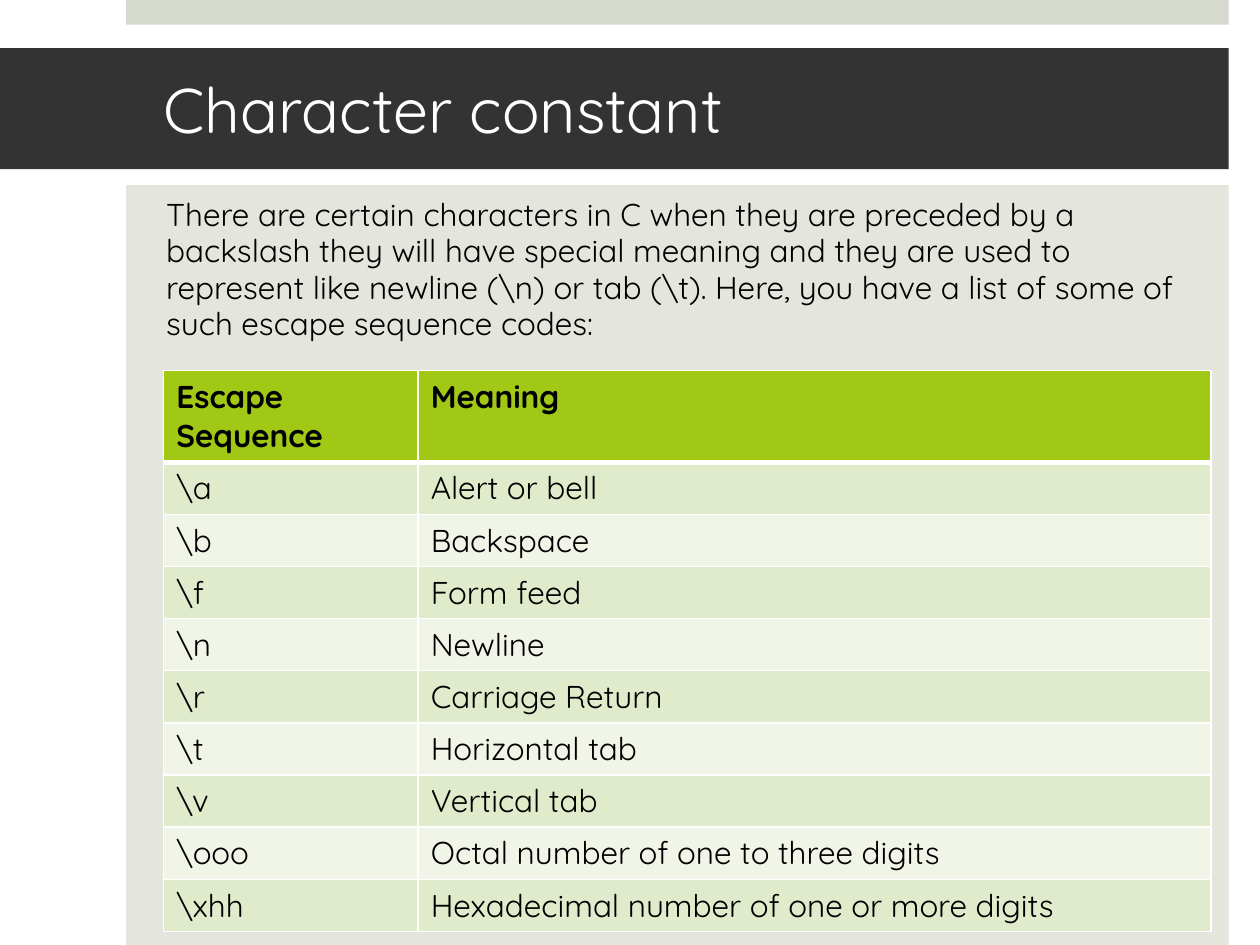
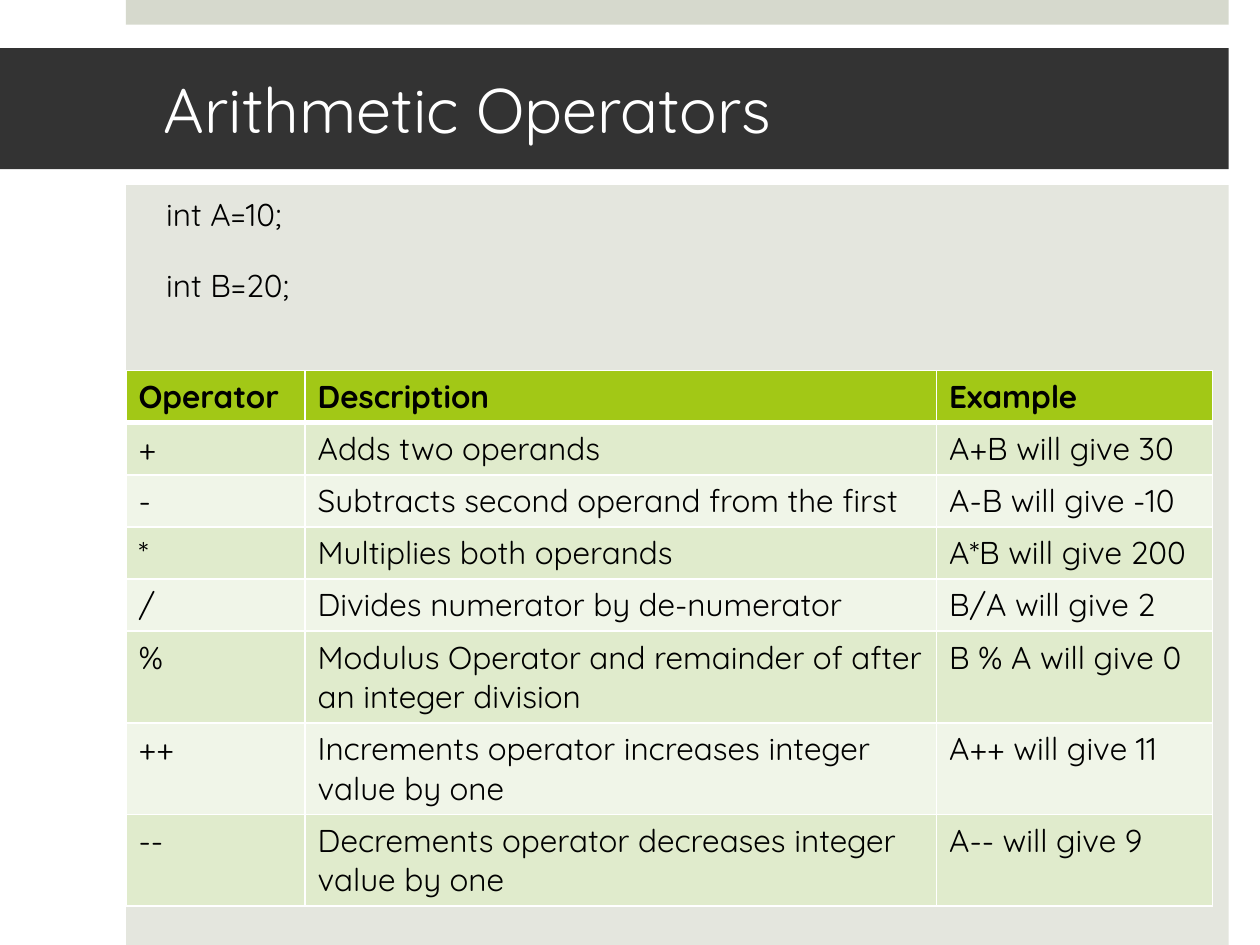
"""Build two slides on C escape sequences and arithmetic operators."""

from dataclasses import dataclass

from lxml.etree import SubElement
from pptx import Presentation
from pptx.dml.color import RGBColor
from pptx.enum.shapes import MSO_SHAPE
from pptx.enum.text import MSO_ANCHOR, MSO_AUTO_SIZE, PP_ALIGN
from pptx.oxml.ns import qn
from pptx.presentation import Presentation as Deck
from pptx.shapes.base import BaseShape
from pptx.slide import Slide
from pptx.table import _Cell as Cell
from pptx.text.text import _Paragraph as Paragraph
from pptx.util import Cm, Pt


@dataclass(frozen=True)
class Theme:
    font: str = "Quicksand"
    title_size: int = 36
    text_size: int = 18
    paragraph_gap: int = 20
    line_spacing: float = 0.96
    thin_border: int = 1
    thick_border: int = 3
    white: str = "FFFFFF"
    black: str = "000000"
    title_band: str = "333333"
    top_band: str = "D6D9CD"
    panel: str = "E4E6DE"
    header: str = "A2C816"
    dark_row: str = "E0EBCC"
    light_row: str = "F0F5E8"


@dataclass(frozen=True)
class Box:
    left: float
    top: float
    width: float
    height: float


@dataclass(frozen=True)
class Margins:
    left: float
    top: float
    right: float
    bottom: float


@dataclass(frozen=True)
class TableContent:
    left: float
    column_widths: tuple[float, ...]
    rows: tuple[tuple[str, ...], ...]
    tall_rows: frozenset[int]


@dataclass(frozen=True)
class SlideContent:
    title: str
    paragraphs: tuple[str, ...]
    table: TableContent


THEME = Theme()
TOP_BAND = Box(2.54, 0, 22.23, 0.5)
TITLE_BAND = Box(0, 0.97, 24.77, 2.44)
PANEL = Box(2.54, 3.73, 22.23, 15.32)
TITLE_MARGINS = Margins(3.3, 0.13, 0.76, 0.13)
PANEL_MARGINS = Margins(0.81, 0.25, 0.76, 0.25)
TABLE_TOP = 7.47
ROW_HEIGHT = 1.05
TALL_ROW_HEIGHT = 1.78

SLIDES = (
    SlideContent(
        "Character constant",
        (
            "There are certain characters in C when they are preceded by a backslash "
            "they will have special meaning and they are used to represent like newline "
            "(\\n) or tab (\\t). Here, you have a list of some of such escape sequence codes:",
        ),
        TableContent(
            3.3,
            (5.13, 15.98),
            (
                ("Escape Sequence", "Meaning"),
                ("\\a", "Alert or bell"),
                ("\\b", "Backspace"),
                ("\\f", "Form feed"),
                ("\\n", "Newline"),
                ("\\r", "Carriage Return"),
                ("\\t", "Horizontal tab"),
                ("\\v", "Vertical tab"),
                ("\\ooo", "Octal number of one to three digits"),
                ("\\xhh", "Hexadecimal number of one or more digits"),
            ),
            frozenset({0}),
        ),
    ),
    SlideContent(
        "Arithmetic Operators",
        ("int A=10;", "int B=20;"),
        TableContent(
            2.54,
            (3.61, 12.73, 5.56),
            (
                ("Operator", "Description", "Example"),
                ("+", "Adds two operands", "A+B will give 30"),
                ("-", "Subtracts second operand from the first", "A-B will give -10"),
                ("*", "Multiplies both operands", "A*B will give 200"),
                ("/", "Divides numerator by de-numerator", "B/A will give 2"),
                ("%", "Modulus Operator and remainder of after an integer division", "B % A will give 0"),
                ("++", "Increments operator increases integer value by one", "A++ will give 11"),
                ("--", "Decrements operator decreases integer value by one", "A-- will give 9"),
            ),
            frozenset({5, 6, 7}),
        ),
    ),
)


def add_text(paragraph: Paragraph, text: str, size: int, color: str, bold: bool = False) -> None:
    run = paragraph.add_run()
    run.text = text
    run.font.name = THEME.font
    run.font.size = Pt(size)
    run.font.bold = bold
    run.font.color.rgb = RGBColor.from_string(color)


def place_panel(shape: BaseShape, box: Box, margins: Margins, color: str, anchor: MSO_ANCHOR) -> None:
    shape.left, shape.top = Cm(box.left), Cm(box.top)
    shape.width, shape.height = Cm(box.width), Cm(box.height)
    shape.fill.solid()
    shape.fill.fore_color.rgb = RGBColor.from_string(color)
    frame = shape.text_frame
    frame.word_wrap = True
    frame.auto_size = MSO_AUTO_SIZE.NONE
    frame.vertical_anchor = anchor
    frame.margin_left, frame.margin_top = Cm(margins.left), Cm(margins.top)
    frame.margin_right, frame.margin_bottom = Cm(margins.right), Cm(margins.bottom)


def add_top_band(slide: Slide) -> None:
    band = slide.shapes.add_shape(
        MSO_SHAPE.RECTANGLE, Cm(TOP_BAND.left), Cm(TOP_BAND.top), Cm(TOP_BAND.width), Cm(TOP_BAND.height)
    )
    band.shadow.inherit = False
    band.fill.solid()
    band.fill.fore_color.rgb = RGBColor.from_string(THEME.top_band)
    band.line.fill.background()


def fill_title(slide: Slide, title: str) -> None:
    shape = slide.shapes.title
    place_panel(shape, TITLE_BAND, TITLE_MARGINS, THEME.title_band, MSO_ANCHOR.MIDDLE)
    paragraph = shape.text_frame.paragraphs[0]
    paragraph.alignment = PP_ALIGN.LEFT
    add_text(paragraph, title, THEME.title_size, THEME.white)


def fill_body(slide: Slide, texts: tuple[str, ...]) -> None:
    shape = slide.placeholders[1]
    place_panel(shape, PANEL, PANEL_MARGINS, THEME.panel, MSO_ANCHOR.TOP)
    frame = shape.text_frame
    for index, text in enumerate(texts):
        paragraph = frame.add_paragraph() if index else frame.paragraphs[0]
        paragraph.alignment = PP_ALIGN.LEFT
        paragraph.line_spacing = THEME.line_spacing
        paragraph.space_before = Pt(THEME.paragraph_gap if index else 0)
        add_text(paragraph, text, THEME.text_size, THEME.black)


def set_borders(cell: Cell, row_index: int) -> None:
    properties = cell._tc.get_or_add_tcPr()
    top = THEME.thick_border if row_index == 1 else THEME.thin_border
    bottom = THEME.thick_border if row_index == 0 else THEME.thin_border
    widths = {"a:lnL": THEME.thin_border, "a:lnR": THEME.thin_border, "a:lnT": top, "a:lnB": bottom}
    for tag, width in widths.items():
        line = SubElement(properties, qn(tag), w=str(Pt(width)))
        fill = SubElement(line, qn("a:solidFill"))
        SubElement(fill, qn("a:srgbClr"), val=THEME.white)


def row_color(row_index: int) -> str:
    if row_index == 0:
        return THEME.header
    return THEME.dark_row if row_index % 2 else THEME.light_row


def add_content_table(slide: Slide, content: TableContent) -> None:
    heights = [
        TALL_ROW_HEIGHT if index in content.tall_rows else ROW_HEIGHT for index in range(len(content.rows))
    ]
    table = slide.shapes.add_table(
        len(content.rows),
        len(content.column_widths),
        Cm(content.left),
        Cm(TABLE_TOP),
        Cm(sum(content.column_widths)),
        Cm(sum(heights)),
    ).table
    for column, width in zip(table.columns, content.column_widths):
        column.width = Cm(width)
    for row_index, texts in enumerate(content.rows):
        table.rows[row_index].height = Cm(heights[row_index])
        for column_index, text in enumerate(texts):
            cell = table.cell(row_index, column_index)
            set_borders(cell, row_index)
            cell.fill.solid()
            cell.fill.fore_color.rgb = RGBColor.from_string(row_color(row_index))
            add_text(cell.text_frame.paragraphs[0], text, THEME.text_size, THEME.black, row_index == 0)


def add_content_slide(presentation: Deck, content: SlideContent) -> None:
    slide = presentation.slides.add_slide(presentation.slide_layouts[0])
    add_top_band(slide)
    fill_title(slide, content.title)
    fill_body(slide, content.paragraphs)
    add_content_table(slide, content.table)


def main() -> None:
    presentation = Presentation()
    presentation.slide_width, presentation.slide_height = Cm(25.4), Cm(19.05)
    for content in SLIDES:
        add_content_slide(presentation, content)
    presentation.save("out.pptx")


if __name__ == "__main__":
    main()
